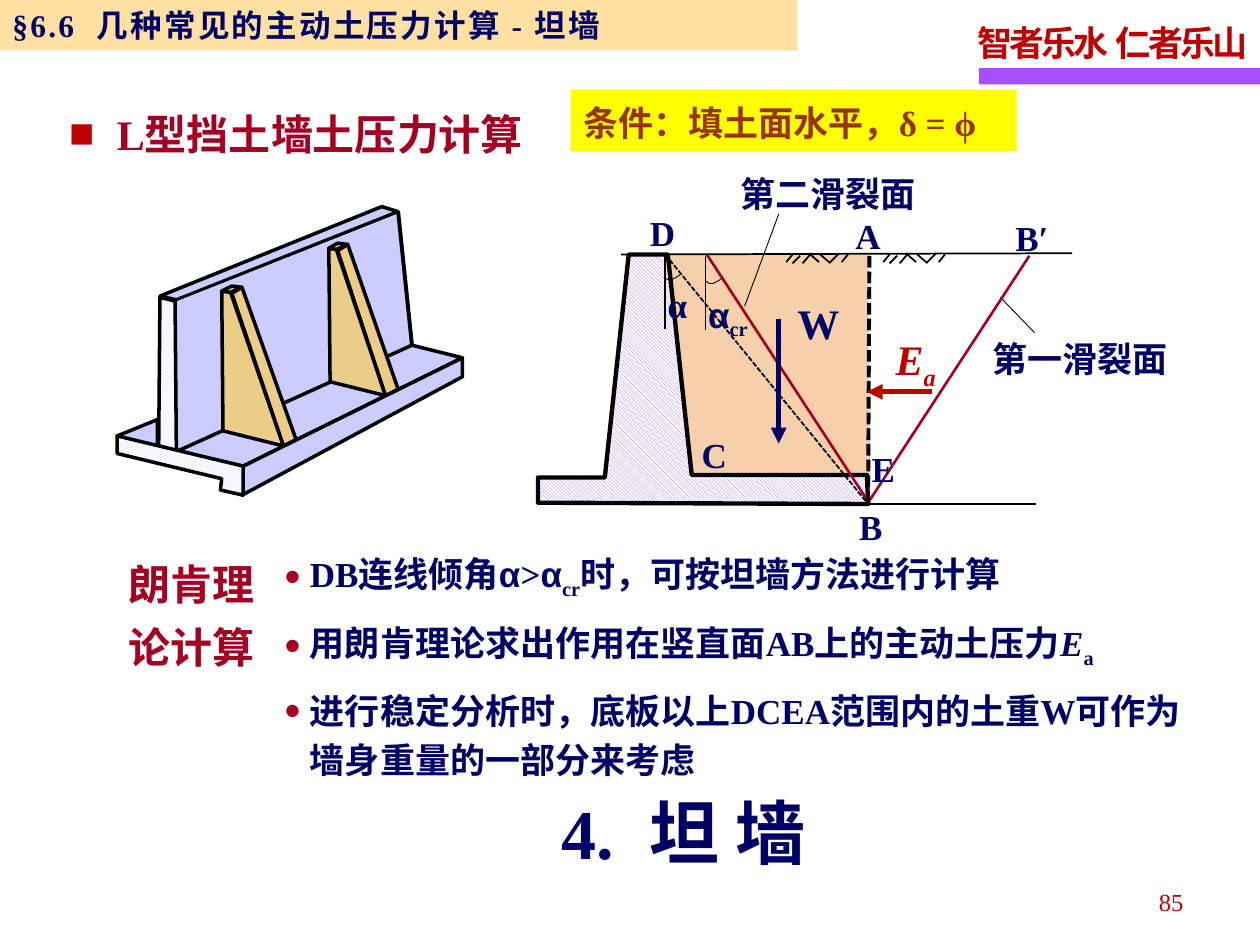
from lxml.etree import SubElement
from pptx import Presentation
from pptx.dml.color import RGBColor
from pptx.enum.dml import MSO_LINE, MSO_PATTERN
from pptx.enum.shapes import MSO_CONNECTOR, MSO_SHAPE
from pptx.enum.text import MSO_ANCHOR, PP_ALIGN
from pptx.oxml.ns import qn
from pptx.util import Pt

PX = 9144  # 100 px to the inch
COLORS = {
    "navy": "000066", "red": "C00000", "crimson": "A50021", "brown": "993300",
    "black": "000000", "white": "FFFFFF", "yellow": "FFFF00", "purple": "A74FFF",
    "soil": "F5D0AB", "hatch": "9966FF", "lilac": "CCCCFF", "rib": "ECCD88",
    "header": "FFCC66",
}
RGB = {name: RGBColor.from_string(value) for name, value in COLORS.items()}
ROMAN, HAN, SANS = "Times New Roman", "Noto Sans CJK SC", "Arial"

presentation = Presentation()
presentation.slide_width, presentation.slide_height = 1000 * PX, 750 * PX
slide = presentation.slides.add_slide(presentation.slide_layouts[6])
shapes = slide.shapes


def add_text(box, paragraphs, size, color, fill=None, spacing=1.15, bold=True, align=None,
             tracking=0, bullet=None, indent=0, bullet_color="crimson", bullet_size=100,
             inset=True, wrap=True, gap=0):
    """Each paragraph is a list of runs: (text, font, style), style being i and/or s (subscript)."""
    left, top, width, height = [value * PX for value in box]
    if fill:
        shape = shapes.add_shape(MSO_SHAPE.RECTANGLE, left, top, width, height)
        shape.shadow.inherit = False
        shape.fill.solid()
        shape.fill.fore_color.rgb = RGB[fill]
        shape.line.fill.background()
    else:
        shape = shapes.add_textbox(left, top, width, height)
    frame = shape.text_frame
    frame.word_wrap = wrap
    frame.vertical_anchor = MSO_ANCHOR.TOP
    if not inset:
        frame.margin_left = frame.margin_right = frame.margin_top = frame.margin_bottom = 0
    for index, runs in enumerate(paragraphs):
        paragraph = frame.add_paragraph() if index else frame.paragraphs[0]
        paragraph.alignment = align or PP_ALIGN.LEFT
        paragraph.line_spacing = spacing
        if index:
            paragraph.space_before = Pt(gap)
        if bullet:
            properties = paragraph._p.get_or_add_pPr()
            properties.set("marL", str(indent * PX))
            properties.set("indent", str(-indent * PX))
            SubElement(SubElement(properties, qn("a:buClr")), qn("a:srgbClr"), val=COLORS[bullet_color])
            SubElement(properties, qn("a:buSzPct"), val=str(bullet_size * 1000))
            SubElement(properties, qn("a:buFont"), typeface=SANS)
            SubElement(properties, qn("a:buChar"), char=bullet)
        for text, font, style in runs:
            run = paragraph.add_run()
            run.text = text
            run.font.size, run.font.bold, run.font.name = Pt(size), bold, font
            run.font.italic = "i" in style
            run.font.color.rgb = RGB[color]
            properties = run._r.get_or_add_rPr()
            SubElement(properties, qn("a:ea"), typeface=HAN)
            if "s" in style:
                properties.set("baseline", "-25000")
            if tracking:
                properties.set("spc", str(tracking))
    return shape


def add_line(container, ends, width, color="black", dashed=False, arrow=False):
    line = container.add_connector(MSO_CONNECTOR.STRAIGHT, *[value * PX for value in ends])
    line.line.width = Pt(width)
    line.line.color.rgb = RGB[color]
    if dashed:
        line.line.dash_style = MSO_LINE.SQUARE_DOT
    if arrow:
        SubElement(line.line._get_or_add_ln(), qn("a:tailEnd"), type="triangle")
    SubElement(line._element.spPr, qn("a:effectLst"))


# Motto and its bar
bar = shapes.add_shape(MSO_SHAPE.RECTANGLE, 777 * PX, 54 * PX, 223 * PX, 13 * PX)
bar.shadow.inherit = False
bar.fill.solid()
bar.fill.fore_color.rgb = RGB["purple"]
bar.line.fill.background()
add_text((766, 7, 236, 49), [[("智者乐水  仁者乐山", ROMAN, "")]], 20, "red", tracking=-170, wrap=False)

# Headings and page number
add_text((716, 696, 233, 40), [[("85", ROMAN, "")]], 14, "red", bold=False, align=PP_ALIGN.RIGHT)
add_text((189, 622, 707, 77), [[("4.  坦 墙", ROMAN, "")]], 40, "navy", spacing=1, align=PP_ALIGN.CENTER)
add_text((45, 61, 399, 69), [[("L", ROMAN, ""), ("型挡土墙土压力计算", HAN, "")]], 24, "crimson",
         spacing=1.5, bullet="■", indent=38, bullet_color="red")
add_text((453, 71, 354, 49), [[("条件：填土面水平，δ = ϕ", ROMAN, "")]], 20, "brown", fill="yellow")
header = add_text((0, 0, 633, 40), [[("§6.6  几种常见的主动土压力计算 - 坦墙", ROMAN, "")]], 18, "navy",
                  fill="header", spacing=1, tracking=130)
header_color = header._element.spPr.find(qn("a:solidFill")).find(qn("a:srgbClr"))
SubElement(header_color, qn("a:alpha"), val="60000")

# Rankine notes
add_text((226, 433, 721, 175), [
    [("DB连线倾角", ROMAN, ""), ("α", SANS, ""), (">", ROMAN, ""), ("α", SANS, ""),
     ("cr", ROMAN, "s"), ("时，可按坦墙方法进行计算", ROMAN, "")],
    [("用朗肯理论求出作用在竖直面AB上的主动土压力", ROMAN, ""), ("E", ROMAN, "i"), ("a", ROMAN, "s")],
    [("进行稳定分析时，底板以上DCEA范围内的土重W可作为墙身重量的一部分来考虑", ROMAN, "")],
], 20, "navy", fill="white", bullet="•", indent=20, bullet_size=130, inset=False, gap=8)
add_text((92, 428, 152, 118), [[("朗肯理论计算", HAN, "")]], 24, "crimson", spacing=1.25)

# Outlines: container, points, fill, hatch colour, line width
buttress_wall = shapes.add_group_shape().shapes
outlines = [
    (shapes, [(689, 202), (528, 202), (549, 378), (691, 380)], "soil", None, 0),
    (shapes, [(689, 400), (688, 377), (549, 377), (530, 202), (499, 202), (480, 379),
              (427, 379), (427, 399)], None, "hatch", 2.5),
    (buttress_wall, [(303, 164), (127, 235), (140, 238), (316, 168)], "lilac", None, 2),
    (buttress_wall, [(138, 236), (139, 360), (326, 276), (315, 170), (138, 240)], "lilac", None, 0),
    (buttress_wall, [(127, 236), (139, 239), (140, 358), (126, 354)], None, "lilac", 2),
    (buttress_wall, [(141, 358), (327, 274), (367, 284), (193, 370)], "lilac", None, 2),
    (buttress_wall, [(176, 231), (177, 342), (225, 354), (183, 232)], "rib", None, 2),
    (buttress_wall, [(176, 231), (184, 227), (192, 228), (183, 232)], "rib", None, 2),
    (buttress_wall, [(192, 228), (235, 349), (225, 354), (184, 233)], "rib", None, 2),
    (buttress_wall, [(261, 197), (262, 303), (306, 314), (267, 198)], "rib", None, 2),
    (buttress_wall, [(261, 197), (268, 193), (276, 194), (267, 198)], "rib", None, 2),
    (buttress_wall, [(276, 194), (316, 309), (306, 314), (268, 199)], "rib", None, 2),
    (buttress_wall, [(192, 393), (367, 299), (367, 284), (193, 370)], "lilac", None, 2),
    (buttress_wall, [(93, 346), (125, 333), (125, 355)], "lilac", None, 2),
    (buttress_wall, [(93, 346), (193, 370), (193, 393), (175, 389), (176, 380), (93, 360)],
     None, "lilac", 2),
]
angle_arc = [(527, 220), (530, 222), (533, 222), (537, 220), (540, 218)]
for dx, dy in [(0, 0), (33, 3)]:
    outlines.append((shapes, [(x + dx, y + dy) for x, y in angle_arc], None, None, 0.5))
for container, points, fill, hatch, width in outlines:
    builder = container.build_freeform(*points[0], scale=PX)
    builder.add_line_segments(points[1:], close=bool(fill or hatch))
    outline = builder.convert_to_shape()
    outline.shadow.inherit = False
    if hatch:
        outline.fill.patterned()
        outline.fill.pattern = MSO_PATTERN.LIGHT_DOWNWARD_DIAGONAL
        outline.fill.fore_color.rgb = RGB[hatch]
        outline.fill.back_color.rgb = RGB["white"]
    elif fill:
        outline.fill.solid()
        outline.fill.fore_color.rgb = RGB[fill]
    else:
        outline.fill.background()
    if width:
        outline.line.width = Pt(width)
        outline.line.color.rgb = RGB["black"]
    else:
        outline.line.fill.background()
add_line(buttress_wall, (316, 168, 327, 274), 2.25)

# Ground, verticals and leaders
for ends, width in [((528, 202, 528, 261), 1), ((560, 203, 560, 262), 1), ((493, 202, 851, 201), 1),
                    ((687, 400, 822, 400), 1.5), ((591, 243, 618, 170), 0.5), ((794, 236, 821, 264), 0.5)]:
    add_line(shapes, ends, width)

# Slip planes, dashed faces and force arrows
add_line(shapes, (689, 398, 561, 202), 1.5, "crimson")
add_line(shapes, (689, 399, 817, 203), 1.5, "crimson")
add_line(shapes, (689, 399, 690, 202), 2.25, dashed=True)
add_line(shapes, (528, 202, 689, 400), 1, dashed=True)
add_line(shapes, (740, 311, 688, 311), 3, "red", arrow=True)
add_line(shapes, (618, 253, 618, 352), 3, "navy", arrow=True)

# Ground surface marks
ground_mark = [(629, 202, 624, 208), (635, 203, 629, 209), (644, 201, 637, 209), (642, 201, 650, 208),
               (651, 202, 658, 208), (658, 209, 666, 201), (668, 208, 673, 202)]
for offset in (0, 77):
    ground = shapes.add_group_shape().shapes
    for x1, y1, x2, y2 in ground_mark:
        add_line(ground, (x1 + offset, y1, x2 + offset, y2), 1)

# Diagram labels
for text, box, font, size in [
    ("A", (669, 160, 39, 50), ROMAN, 20), ("C", (547, 334, 43, 46), ROMAN, 20),
    ("D", (506, 158, 38, 46), ROMAN, 20), ("B", (672, 391, 38, 46), ROMAN, 20),
    ("E", (682, 345, 38, 46), ROMAN, 20), ("B′", (796, 162, 49, 49), ROMAN, 20),
    ("α", (520, 215, 42, 46), ROMAN, 20), ("W", (623, 225, 60, 57), ROMAN, 24),
    ("第二滑裂面", (578, 127, 167, 49), HAN, 20), ("第一滑裂面", (778, 258, 167, 49), HAN, 20),
]:
    add_text(box, [[(text, font, "")]], size, "navy")
add_text((701, 253, 69, 53), [[("E", ROMAN, "i"), ("a", ROMAN, "is")]], 24, "red")
add_text((562, 227, 43, 35), [[("α", SANS, ""), ("cr", ROMAN, "s")]], 20, "navy", inset=False)

presentation.save("out.pptx")
